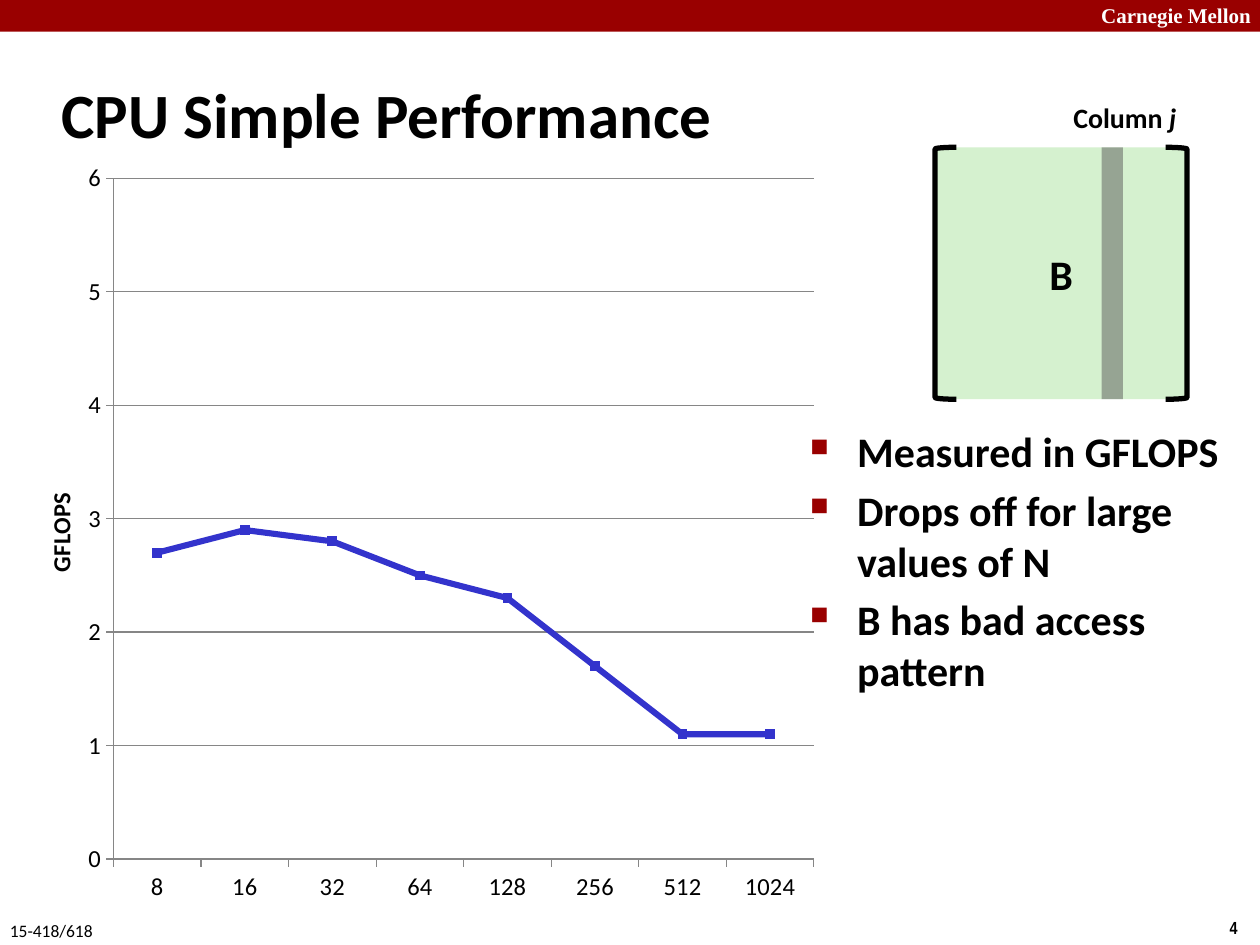
from lxml.etree import SubElement
from pptx import Presentation
from pptx.chart.data import CategoryChartData
from pptx.dml.color import RGBColor
from pptx.enum.chart import XL_CHART_TYPE, XL_MARKER_STYLE, XL_TICK_MARK
from pptx.enum.shapes import MSO_SHAPE
from pptx.enum.text import MSO_ANCHOR, PP_ALIGN
from pptx.oxml import parse_xml
from pptx.oxml.ns import nsdecls, qn
from pptx.util import Cm, Pt

RED = RGBColor(0x99, 0x00, 0x00)
BLACK = RGBColor(0x00, 0x00, 0x00)
WHITE = RGBColor(0xFF, 0xFF, 0xFF)
GREEN = RGBColor(0xD5, 0xF1, 0xCF)
GRAY = RGBColor(0x59, 0x59, 0x59)
GRID = RGBColor(0x86, 0x86, 0x86)
BLUE = RGBColor(0x33, 0x33, 0xCC)


class Deck:
    font = "Calibri"

    def __init__(self, slide):
        self.slide = slide

    def run(self, para, text, size, bold=True, color=BLACK, font=None, slant=None):
        run = para.add_run()
        run.text = text
        face = run.font
        face.name, face.size = font or self.font, Pt(size)
        face.bold, face.italic = bold, slant
        face.color.rgb = color

    def text(self, box, wrap=True, anchor=MSO_ANCHOR.TOP):
        frame = self.slide.shapes.add_textbox(*map(Cm, box)).text_frame
        frame.word_wrap, frame.vertical_anchor = wrap, anchor
        return frame

    def label(self, box, text, size, wrap=False, **style):
        para = self.text(box, wrap).paragraphs[0]
        self.run(para, text, size, **style)
        return para

    def bullets(self, box, items, size):
        frame = self.text(box)
        for i, item in enumerate(items):
            para = frame.add_paragraph() if i else frame.paragraphs[0]
            if i:
                para.space_before = Pt(size * 0.2)
            prop = para._p.get_or_add_pPr()
            prop.set("marL", str(Cm(0.95)))
            prop.set("indent", str(Cm(-0.95)))
            tint = SubElement(prop, qn("a:buClr"))
            SubElement(tint, qn("a:srgbClr"), val=str(RED))
            SubElement(prop, qn("a:buSzPct"), val="60000")
            SubElement(prop, qn("a:buChar"), char="■")
            self.run(para, item, size)

    def shape(self, kind, box, fill=None, line=None, alpha=None):
        shape = self.slide.shapes.add_shape(kind, *map(Cm, box))
        shape.shadow.inherit = False
        if fill is None:
            shape.fill.background()
        else:
            shape.fill.solid()
            shape.fill.fore_color.rgb = fill
        if alpha:
            tint = shape.fill._xPr.find(".//" + qn("a:srgbClr"))
            SubElement(tint, qn("a:alpha"), val=str(alpha * 1000))
        if line is None:
            shape.line.fill.background()
        else:
            shape.line.color.rgb, shape.line.width = line, Pt(3)
        return shape

    def place(self, node, inner=False, **spots):
        """Fix a chart part at fractions of the chart's size."""
        old = node.find(qn("c:layout"))
        if old is not None:
            node.remove(old)
        target = '<c:layoutTarget val="inner"/>' if inner else ""
        modes = "".join(f'<c:{k}Mode val="edge"/>' for k in "xy")
        vals = "".join(f'<c:{k} val="{v}"/>' for k, v in spots.items())
        layout = parse_xml(f'<c:layout {nsdecls("c")}><c:manualLayout>'
                           f'{target}{modes}{vals}</c:manualLayout></c:layout>')
        text = node.find(qn("c:tx"))
        node.insert(0 if text is None else 1, layout)

    def graph(self, box, cats, vals, unit):
        data = CategoryChartData()
        data.categories = cats
        data.add_series("Series 1", vals)
        chart = self.slide.shapes.add_chart(
            XL_CHART_TYPE.LINE_MARKERS, *map(Cm, box), data).chart
        chart.has_legend = chart.has_title = False
        chart.font.name, chart.font.size = self.font, Pt(14)
        chart.font.color.rgb = BLACK
        # Axes and grid
        axis = chart.value_axis
        axis.minimum_scale, axis.maximum_scale, axis.major_unit = 0, 6, 1
        axis.has_major_gridlines = True
        axis.tick_labels.number_format = "0"
        axis.tick_labels.number_format_is_linked = False
        self.run(axis.axis_title.text_frame.paragraphs[0], unit, 14)
        for side in (axis, chart.category_axis):
            side.major_tick_mark = XL_TICK_MARK.OUTSIDE
            side.format.line.color.rgb = GRID
        axis.major_gridlines.format.line.color.rgb = GRID
        # Line and markers
        plot = chart.plots[0]
        plot.vary_by_categories = False
        curve = plot.series[0]
        curve.smooth = False
        curve.format.line.color.rgb, curve.format.line.width = BLUE, Pt(3.5)
        mark = curve.marker
        mark.style, mark.size = XL_MARKER_STYLE.SQUARE, 5
        mark.format.fill.solid()
        mark.format.fill.fore_color.rgb = BLUE
        mark.format.line.color.rgb = BLUE
        # Layout
        area = chart._chartSpace.chart.plotArea
        self.place(area, inner=True, x=0.13, y=0.04, w=0.85, h=0.88)
        self.place(axis.axis_title._element, x=0.04, y=0.44)


def main():
    show = Presentation()
    show.slide_width, show.slide_height = Cm(25.4), Cm(19.05)
    deck = Deck(show.slides.add_slide(show.slide_layouts[6]))

    # Header and footer
    deck.shape(MSO_SHAPE.RECTANGLE, (0, 0, 25.4, 0.64), RED)
    deck.label((21.95, -0.08, 3.63, 0.76), "Carnegie Mellon", 12, wrap=True,
               color=WHITE, font="Times New Roman")
    deck.label((24.54, 18.36, 0.86, 0.69), "4", 10, font="Arial Narrow")
    deck.label((-0.05, 18.42, 2.21, 0.69), "15-418/618", 10, bold=False)

    # Title and points
    title = deck.text((0.99, 1.22, 21.08, 2.11), anchor=MSO_ANCHOR.MIDDLE)
    deck.run(title.paragraphs[0], "CPU Simple Performance", 36)
    deck.bullets((16.08, 8.46, 9.32, 6.38),
                 ["Measured in GFLOPS", "Drops off for large values of N",
                  "B has bad access pattern"], 24)

    # Matrix B with its column
    left, top, size, edge = 18.85, 2.97, 5.08, 0.43
    block = deck.shape(MSO_SHAPE.RECTANGLE, (left, top, size, size), GREEN)
    frame = block.text_frame
    frame.word_wrap, frame.vertical_anchor = False, MSO_ANCHOR.MIDDLE
    frame.paragraphs[0].alignment = PP_ALIGN.CENTER
    deck.run(frame.paragraphs[0], "B", 24)
    for kind, x in ((MSO_SHAPE.LEFT_BRACKET, left),
                    (MSO_SHAPE.RIGHT_BRACKET, left + size - edge)):
        deck.shape(kind, (x, top, edge, size), line=BLACK)
    deck.shape(MSO_SHAPE.RECTANGLE, (22.21, top, edge, size), GRAY, alpha=50)
    para = deck.label((21.39, 1.9, 2.72, 0.94), "Column ", 16)
    deck.run(para, "j", 16, slant=True)

    # Chart
    deck.graph((0.13, 2.97, 16.61, 15.6), [str(2 ** n) for n in range(3, 11)],
               (2.7, 2.9, 2.8, 2.5, 2.3, 1.7, 1.1, 1.1), "GFLOPS")
    show.save("out.pptx")


if __name__ == "__main__":
    main()
